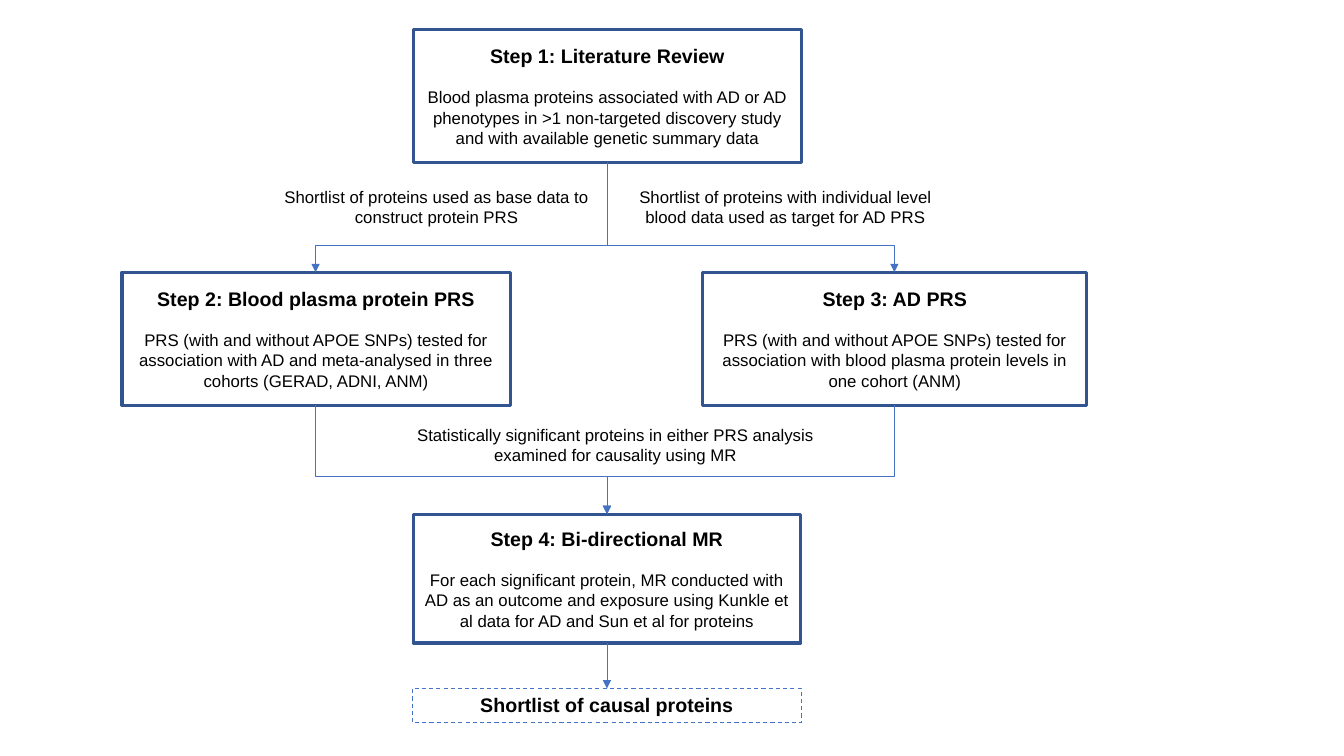
from typing import NamedTuple

from lxml import etree
from pptx import Presentation
from pptx.dml.color import RGBColor
from pptx.enum.dml import MSO_LINE
from pptx.enum.shapes import MSO_CONNECTOR, MSO_SHAPE
from pptx.enum.text import MSO_ANCHOR, PP_ALIGN
from pptx.oxml.ns import qn
from pptx.util import Pt

EMU_PER_PX = 9144
RECTANGLE = MSO_SHAPE.RECTANGLE
STRAIGHT = MSO_CONNECTOR.STRAIGHT
ELBOW = MSO_CONNECTOR.ELBOW
DASH = MSO_LINE.DASH
CENTER = PP_ALIGN.CENTER
TOP = MSO_ANCHOR.TOP
MIDDLE = MSO_ANCHOR.MIDDLE

FONT = "Arial"
BLACK = "000000"
BORDER = "325491"
ARROW = "4472C4"


class Box(NamedTuple):
    left: int
    top: int
    width: int
    height: int

    @property
    def center(self):
        return self.left + self.width // 2

    @property
    def bottom(self):
        return self.top + self.height


STEPS = [
    (Box(410, 29, 385, 132), "Step 1: Literature Review",
     "Blood plasma proteins associated with AD or AD phenotypes in >1 "
     "non-targeted discovery study and with available genetic summary data"),
    (Box(121, 270, 385, 132), "Step 2: Blood plasma protein PRS",
     "PRS (with and without APOE SNPs) tested for association with AD and "
     "meta-analysed in three cohorts (GERAD, ADNI, ANM)"),
    (Box(697, 270, 381, 132), "Step 3: AD PRS",
     "PRS (with and without APOE SNPs) tested for association with blood "
     "plasma protein levels in one cohort (ANM)"),
    (Box(410, 510, 384, 128), "Step 4: Bi-directional MR",
     "For each significant protein, MR conducted with AD as an outcome and "
     "exposure using Kunkle et al data for AD and Sun et al for proteins"),
]
LABELS = [
    (Box(264, 180, 338, 50),
     "Shortlist of proteins used as base data to construct protein PRS"),
    (Box(610, 180, 338, 50),
     "Shortlist of proteins with individual level blood data used as target for AD PRS"),
    (Box(390, 416, 441, 50),
     "Statistically significant proteins in either PRS analysis examined for causality using MR"),
]
RESULT = Box(409, 683, 386, 34)


def px(value):
    return round(value * EMU_PER_PX)


def color(value):
    return RGBColor.from_string(value)


def write(paragraph, text, size=12, bold=False, space_after=0):
    paragraph.alignment = CENTER
    paragraph.space_after = Pt(space_after)
    run = paragraph.add_run()
    run.text = text
    run.font.name = FONT
    run.font.size = Pt(size)
    run.font.bold = bold
    run.font.color.rgb = color(BLACK)


def add_frame(slide, box, line_color, line_width, anchor):
    shape = slide.shapes.add_shape(RECTANGLE, *map(px, box))
    shape.shadow.inherit = False
    shape.fill.background()
    shape.line.color.rgb = color(line_color)
    shape.line.width = Pt(line_width)
    shape.text_frame.word_wrap = True
    shape.text_frame.vertical_anchor = anchor
    return shape


def add_step(slide, box, heading, body):
    text_frame = add_frame(slide, box, BORDER, 2.25, MIDDLE).text_frame
    write(text_frame.paragraphs[0], heading, size=14, bold=True, space_after=14)
    write(text_frame.add_paragraph(), body)


def add_label(slide, box, text):
    text_frame = slide.shapes.add_textbox(*map(px, box)).text_frame
    text_frame.word_wrap = True
    write(text_frame.paragraphs[0], text)


def add_result(slide, box):
    shape = add_frame(slide, box, ARROW, 0.75, TOP)
    shape.line.dash_style = DASH
    write(shape.text_frame.paragraphs[0], "Shortlist of causal proteins", size=14, bold=True)


def add_arrow(slide, kind, *ends):
    connector = slide.shapes.add_connector(kind, *map(px, ends))
    connector.line.color.rgb = color(ARROW)
    connector.line.width = Pt(0.5)
    properties = connector._element.spPr
    etree.SubElement(properties.find(qn("a:ln")), qn("a:tailEnd"), type="triangle")
    etree.SubElement(properties, qn("a:effectLst"))
    return connector


def add_bent_arrow(slide, source, target, bend):
    across = target.center - source.center
    down = target.top - source.bottom
    middle_x = (source.center + target.center) / 2
    middle_y = (source.bottom + target.top) / 2
    reach = down / 2 if across < 0 else -down / 2
    rise = abs(across) / 2
    connector = add_arrow(slide, ELBOW, middle_x - reach, middle_y - rise,
                          middle_x + reach, middle_y + rise)
    properties = connector._element.spPr
    degrees = 90 if across < 0 else 270
    properties.find(qn("a:xfrm")).set("rot", str(degrees * 60000))
    adjustments = properties.find(qn("a:prstGeom")).find(qn("a:avLst"))
    etree.SubElement(adjustments, qn("a:gd"), name="adj1", fmla=f"val {round(bend * 100000)}")


def add_flowchart(slide):
    for step in STEPS:
        add_step(slide, *step)
    for label in LABELS:
        add_label(slide, *label)
    add_result(slide, RESULT)
    review, protein_prs, ad_prs, causality = [step[0] for step in STEPS]
    for analysis in (protein_prs, ad_prs):
        add_bent_arrow(slide, review, analysis, 0.76)
        add_bent_arrow(slide, analysis, causality, 0.65)
    add_arrow(slide, STRAIGHT, causality.center, causality.bottom, RESULT.center, RESULT.top)


def main():
    presentation = Presentation()
    presentation.slide_width = px(1333)
    presentation.slide_height = px(750)
    add_flowchart(presentation.slides.add_slide(presentation.slide_layouts[6]))
    presentation.save("out.pptx")


if __name__ == "__main__":
    main()
